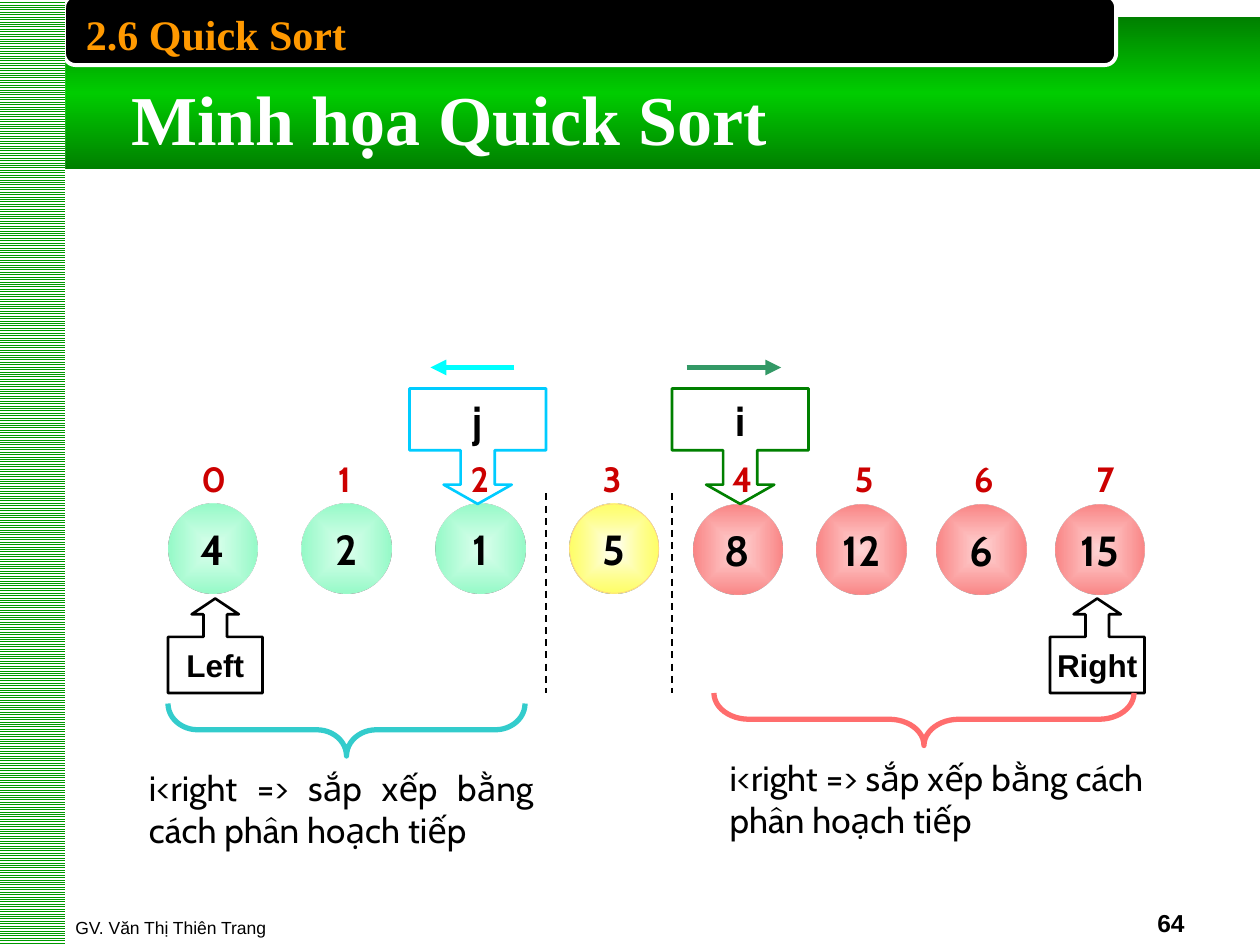
import pptx
import pptx.util
import pptx.dml.color
import pptx.enum.dml
import pptx.enum.shapes
import pptx.enum.text
import pptx.oxml
import pptx.oxml.ns
from dataclasses import dataclass

COLS, ROWS = 120, 90
WIDE, HIGH = pptx.util.Inches(10), pptx.util.Inches(7.5)
KIND = pptx.enum.shapes.MSO_SHAPE
SIDE = pptx.enum.text.PP_ALIGN
HOLD = pptx.enum.text.MSO_ANCHOR
DASH = pptx.enum.dml.MSO_LINE.DASH


@dataclass(frozen=True)
class Theme:
    serif: str = "Times New Roman"
    sans: str = "Arial"
    round: str = "Cabin"
    ink: str = "000000"
    paper: str = "FFFFFF"
    dark: str = "008000"
    bright: str = "00CC00"
    stripe: str = "009900"
    gold: str = "FF9900"
    red: str = "CC0000"
    small: int = 10
    page: int = 14
    tag: int = 18
    body: int = 20
    head: int = 24
    title: int = 40


T = Theme()
MINT = (("99FFCC", 32), ("96FAC8", 100))
LEMON = (("FFFF2D", 0), ("FFFF68", 100))
ROSE = (("FF8989", 35), ("FA8686", 100))
RADIAL = '<a:path path="shape"><a:fillToRect l="50000" t="50000" r="50000" b="50000"/></a:path>'
LINEAR = '<a:lin ang="5400000" scaled="1"/>'


def grid(x, y, w, h):
    return tuple(round(v) for v in (x * WIDE / COLS, y * HIGH / ROWS, w * WIDE / COLS, h * HIGH / ROWS))


def tint(code):
    return pptx.dml.color.RGBColor.from_string(code)


def stroke(line, code, width, dash=None):
    line.color.rgb = tint(code)
    line.width = pptx.util.Pt(width)
    if dash:
        line.dash_style = dash


def blend(shape, stops, path):
    last = len(stops) - 1
    marks = "".join(
        f'<a:gs pos="{100000 * n // last}"><a:srgbClr val="{code}"><a:alpha val="{solid * 1000}"/></a:srgbClr></a:gs>'
        for n, (code, solid) in enumerate(stops))
    space = pptx.oxml.ns.nsdecls("a")
    fill = pptx.oxml.parse_xml(f'<a:gradFill {space} rotWithShape="1"><a:gsLst>{marks}</a:gsLst>{path}</a:gradFill>')
    frame = shape.element.spPr
    blank = frame.find(pptx.oxml.ns.qn("a:noFill"))
    frame.replace(blank, fill)


def form(shapes, kind, box, line=None, width=1.5, bends=()):
    shape = shapes.add_shape(kind, *grid(*box))
    shape.shadow.inherit = False
    shape.fill.background()
    if line:
        stroke(shape.line, line, width)
    else:
        shape.line.fill.background()
    for n, bend in enumerate(bends):
        shape.adjustments[n] = bend
    return shape


def write(shape, text, font, size, code, bold=True, side=SIDE.CENTER, hold=HOLD.MIDDLE, wrap=False):
    frame = shape.text_frame
    frame.word_wrap = wrap
    frame.vertical_anchor = hold
    line = frame.paragraphs[0]
    line.text = text
    line.alignment = side
    line.font.name = font
    line.font.size = pptx.util.Pt(size)
    line.font.bold = bold
    line.font.color.rgb = tint(code)


def label(shapes, box, *text, **style):
    write(shapes.add_textbox(*grid(*box)), *text, **style)


def rule(shapes, start, end, code, width, dash=None, head=False):
    x, y, across, down = grid(*start, *end)
    line = shapes.add_connector(pptx.enum.shapes.MSO_CONNECTOR.STRAIGHT, x, y, across, down)
    stroke(line.line, code, width, dash)
    frame = line.element.spPr
    if head:
        pptx.oxml.ns.qn("a:ln")
        tip = pptx.oxml.parse_xml(f'<a:tailEnd {pptx.oxml.ns.nsdecls("a")} type="triangle"/>')
        frame.find(pptx.oxml.ns.qn("a:ln")).append(tip)
    frame.append(pptx.oxml.parse_xml(f'<a:effectLst {pptx.oxml.ns.nsdecls("a")}/>'))


def banner(slide, box):
    x, y, w, h = box
    band = form(slide.shapes, KIND.RECTANGLE, (x, y + 1.6, w, 14.5))
    blend(band, ((T.dark, 100), (T.bright, 100), (T.dark, 100)), LINEAR)
    tab = form(slide.shapes, KIND.ROUNDED_RECTANGLE, (x + 6.1, y - 0.4, 100.2, 6.6), T.paper, 2.25)
    tab.fill.solid()
    tab.fill.fore_color.rgb = tint(T.ink)
    edge = form(slide.shapes, KIND.RECTANGLE, (x - 0.1, y, 6.3, h))
    edge.fill.patterned()
    edge.fill.pattern = pptx.enum.dml.MSO_PATTERN.LIGHT_HORIZONTAL
    edge.fill.fore_color.rgb = tint(T.stripe)
    edge.fill.back_color.rgb = tint(T.paper)
    label(slide.shapes, (x + 7, y + 0.2, 92, 6), "2.6 Quick Sort", T.serif, T.head, T.gold,
          side=SIDE.LEFT, hold=HOLD.TOP, wrap=True)
    title = slide.shapes.title
    title.element.getparent().append(title.element)
    title.left, title.top, title.width, title.height = grid(x + 11.3, y + 6.6, 63, 9.25)
    write(title, "Minh họa Quick Sort", T.serif, T.title, T.paper, side=SIDE.LEFT, hold=HOLD.TOP)
    title.text_frame.auto_size = pptx.enum.text.MSO_AUTO_SIZE.SHAPE_TO_FIT_TEXT


def footer(slide, box):
    x, y, w, h = box
    label(slide.shapes, (x, y, 73, h), "GV. Văn Thị Thiên Trang", T.sans, T.small, T.ink,
          bold=False, side=SIDE.LEFT, hold=HOLD.BOTTOM, wrap=True)
    label(slide.shapes, (x + w - 28, y, 28, h), "64", T.sans, T.page, T.ink,
          side=SIDE.RIGHT, hold=HOLD.BOTTOM, wrap=True)


def array(slide, box):
    x, y, w, h = box
    size = 8.5
    balls = ((0, "4", MINT), (12.75, "2", MINT), (25.5, "1", MINT), (38.25, "5", LEMON),
             (50, "8", ROSE), (61.8, "12", ROSE), (73.2, "6", ROSE), (w - size, "15", ROSE))
    for left, text, stops in balls:
        drop = 0.1 if stops == ROSE else 0
        ball = form(slide.shapes, KIND.OVAL, (x + left, y + h - size + drop, size, size))
        blend(ball, stops, RADIAL)
        if stops == LEMON:
            stroke(ball.line, "FFC489", 0.25)
        write(ball, text, T.round, T.head, T.ink)
    group = slide.shapes.add_group_shape().shapes
    for n, left in enumerate((2, 14.5, 27.4, 40, 52.4, 64, 75.4, 87)):
        label(group, (x + left, y, 4.6, 5.2), str(n), T.round, T.body, T.red)


def bound(slide, box, text):
    tag = form(slide.shapes, KIND.UP_ARROW_CALLOUT, box, T.ink, bends=(0.25, 0.25, 0.167, 0.594))
    write(tag, text, T.sans, T.tag, T.ink)


def pointer(slide, box, text, code, start, end, shade):
    x, y, w, h = box
    group = slide.shapes.add_group_shape().shapes
    tag = form(group, KIND.DOWN_ARROW_CALLOUT, (x, y + 2, w, h - 2), code, bends=(0.295, 0.295, 0.167, 0.535))
    write(tag, text, T.round, T.head, T.ink)
    rule(group, (x + start, y), (x + end, y), shade, 3, head=True)


def brace(slide, box, bend, code):
    x, y, w, h = box
    upright = (x + (w - h) / 2, y + (h - w) / 2, h, w)
    form(slide.shapes, KIND.LEFT_BRACE, upright, code, 3, (bend, 0.5)).rotation = 270


def note(slide, box):
    label(slide.shapes, box, "i<right => sắp xếp bằng cách phân hoạch tiếp", T.round, T.body, T.ink,
          bold=False, side=SIDE.JUSTIFY, wrap=True)


def main():
    deck = pptx.Presentation()
    deck.slide_width, deck.slide_height = WIDE, HIGH
    slide = deck.slides.add_slide(deck.slide_layouts[5])
    banner(slide, (0, 0, COLS, ROWS))
    footer(slide, (6, 83.9, 108, 6))
    array(slide, (16, 43, 93, 13.5))
    bound(slide, (16, 57, 9, 9), "Left")
    bound(slide, (100, 57, 9, 9), "Right")
    pointer(slide, (64, 35, 13, 13), "i", T.dark, 1.4, 10.4, "339966")
    pointer(slide, (39, 35, 13, 13), "j", "00CCFF", 10, 2, "00FFFF")
    brace(slide, (16, 67, 34, 5), 0.567, "33CCCC")
    brace(slide, (68, 66, 40, 5), 0.667, "FF6D6D")
    note(slide, (68.3, 71, 41.8, 10))
    note(slide, (13, 72, 39, 10))
    for x in (52, 64):
        rule(slide.shapes, (x, 47), (x, 66), T.ink, 1, DASH)
    deck.save("out.pptx")


if __name__ == "__main__":
    main()
